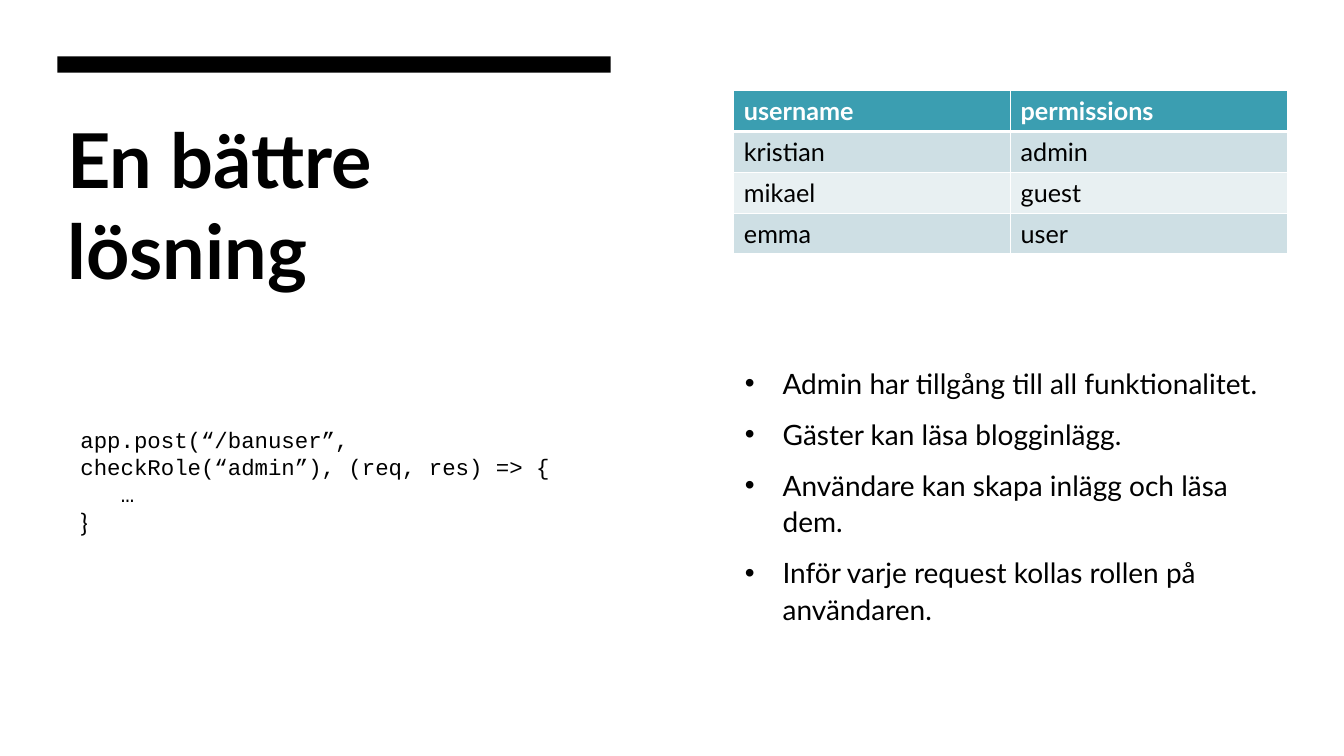
from dataclasses import dataclass

from lxml import etree
from pptx import Presentation
from pptx import util as u
from pptx.dml.color import RGBColor
from pptx.enum import shapes, text
from pptx.oxml import ns
from pptx.slide import Slide
from pptx.table import _Cell
from pptx.text.text import TextFrame, _Paragraph


@dataclass(frozen=True)
class Theme:
    """Colours, fonts and type sizes of the slide."""
    ink: str = "000000"
    paper: str = "FFFFFF"
    header: str = "3B9EB1"
    bands: tuple[str, str] = ("CEDFE4", "E8F0F2")
    body_font: str = "Lato"
    code_font: str = "Courier New"
    title_size: float = 54
    bullet_size: float = 20
    table_size: float = 18
    code_size: float = 16
    rule_width: float = 1
    header_rule_width: float = 3


@dataclass(frozen=True)
class Box:
    """A rectangle in points."""
    left: float
    top: float
    width: float
    height: float

    def lengths(self) -> tuple[u.Length, ...]:
        """Return the rectangle as slide lengths."""
        return tuple(u.Pt(value) for value in (self.left, self.top, self.width, self.height))


@dataclass(frozen=True)
class Line:
    """One paragraph with its type and indents."""
    words: str
    size: float
    font: str = "Lato"
    bold: bool = False
    color: str = "000000"
    indent: float = 0
    bulleted: bool = False


THEME = Theme()
COLUMN_WIDTH = 395.28
BULLET_INDENT = 27
CODE_INDENT = 28.8

BAR = Box(41, 40.2, COLUMN_WIDTH, 11.7)
TITLE = Box(41, 77, COLUMN_WIDTH, 384)
BULLETS = Box(524.9, 255.6, COLUMN_WIDTH, 203.8)
CODE = Box(50.4, 301, COLUMN_WIDTH, 87)
TABLE = Box(524.2, 64.8, COLUMN_WIDTH, 116.64)

ROLES = (
    ("username", "permissions"),
    ("kristian", "admin"),
    ("mikael", "guest"),
    ("emma", "user"),
)
RULES = (
    "Admin har tillgång till all funktionalitet.",
    "Gäster kan läsa blogginlägg.",
    "Användare kan skapa inlägg och läsa dem.",
    "Inför varje request kollas rollen på användaren.",
)
CODE_LINES = (
    Line("app.post(“/banuser”, checkRole(“admin”), (req, res) => {", THEME.code_size, THEME.code_font),
    Line("…", THEME.code_size, THEME.code_font, indent=CODE_INDENT),
    Line("}", THEME.table_size),
)


def write_line(paragraph: _Paragraph, line: Line) -> None:
    """Write one line as a formatted run."""
    paragraph.alignment = text.PP_ALIGN.LEFT
    run = paragraph.add_run()
    run.text = line.words
    run.font.name = line.font
    run.font.size = u.Pt(line.size)
    run.font.bold = line.bold
    run.font.color.rgb = RGBColor.from_string(line.color)
    properties = paragraph._p.get_or_add_pPr()
    if line.indent:
        properties.set("marL", str(u.Pt(line.indent)))
    if line.bulleted:
        properties.set("indent", str(-u.Pt(line.indent)))
        paragraph.line_spacing = 1.1
        paragraph.space_before = u.Pt(10)
        etree.SubElement(properties, ns.qn("a:buFont"), typeface="Arial")
        etree.SubElement(properties, ns.qn("a:buChar"), char="•")


def write_lines(frame: TextFrame, lines: tuple[Line, ...]) -> None:
    """Fill a text frame with one paragraph per line."""
    for index, line in enumerate(lines):
        paragraph = frame.add_paragraph() if index else frame.paragraphs[0]
        write_line(paragraph, line)


def add_text(slide: Slide, box: Box, lines: tuple[Line, ...]) -> None:
    """Add a wrapping, top-anchored text box."""
    frame = slide.shapes.add_textbox(*box.lengths()).text_frame
    frame.word_wrap = True
    frame.vertical_anchor = text.MSO_ANCHOR.TOP
    write_lines(frame, lines)


def add_bar(slide: Slide, box: Box) -> None:
    """Add the solid bar above the title."""
    shape = slide.shapes.add_shape(shapes.MSO_SHAPE.RECTANGLE, *box.lengths())
    shape.shadow.inherit = False
    shape.fill.solid()
    shape.fill.fore_color.rgb = RGBColor.from_string(THEME.ink)
    shape.line.fill.background()


def set_borders(cell: _Cell, row: int) -> None:
    """Draw the cell borders, heavier below the header row."""
    properties = cell._tc.get_or_add_tcPr()
    widths = {side: THEME.rule_width for side in ("lnL", "lnR", "lnT", "lnB")}
    if row < 2:
        widths["lnT" if row else "lnB"] = THEME.header_rule_width
    for side, width in widths.items():
        border = etree.SubElement(properties, ns.qn(f"a:{side}"), w=str(u.Pt(width)))
        fill = etree.SubElement(border, ns.qn("a:solidFill"))
        etree.SubElement(fill, ns.qn("a:srgbClr"), val=THEME.paper)


def add_role_table(slide: Slide, box: Box, rows: tuple[tuple[str, ...], ...]) -> None:
    """Add the table with a header and banded rows."""
    table = slide.shapes.add_table(len(rows), len(rows[0]), *box.lengths()).table
    for row, values in enumerate(rows):
        table.rows[row].height = u.Pt(box.height / len(rows))
        is_header = row == 0
        color = THEME.header if is_header else THEME.bands[(row - 1) % 2]
        ink = THEME.paper if is_header else THEME.ink
        for column, value in enumerate(values):
            cell = table.cell(row, column)
            set_borders(cell, row)
            cell.fill.solid()
            cell.fill.fore_color.rgb = RGBColor.from_string(color)
            line = Line(value, THEME.table_size, THEME.body_font, is_header, ink)
            write_lines(cell.text_frame, (line,))


def main() -> None:
    """Build and save the slide."""
    presentation = Presentation()
    presentation.slide_width, presentation.slide_height = u.Pt(960), u.Pt(540)
    slide = presentation.slides.add_slide(presentation.slide_layouts[6])
    add_bar(slide, BAR)
    add_text(slide, TITLE, (Line("En bättre lösning", THEME.title_size, bold=True),))
    add_text(slide, BULLETS, tuple(
        Line(rule, THEME.bullet_size, indent=BULLET_INDENT, bulleted=True) for rule in RULES
    ))
    add_role_table(slide, TABLE, ROLES)
    add_text(slide, CODE, CODE_LINES)
    presentation.save("out.pptx")


if __name__ == "__main__":
    main()
